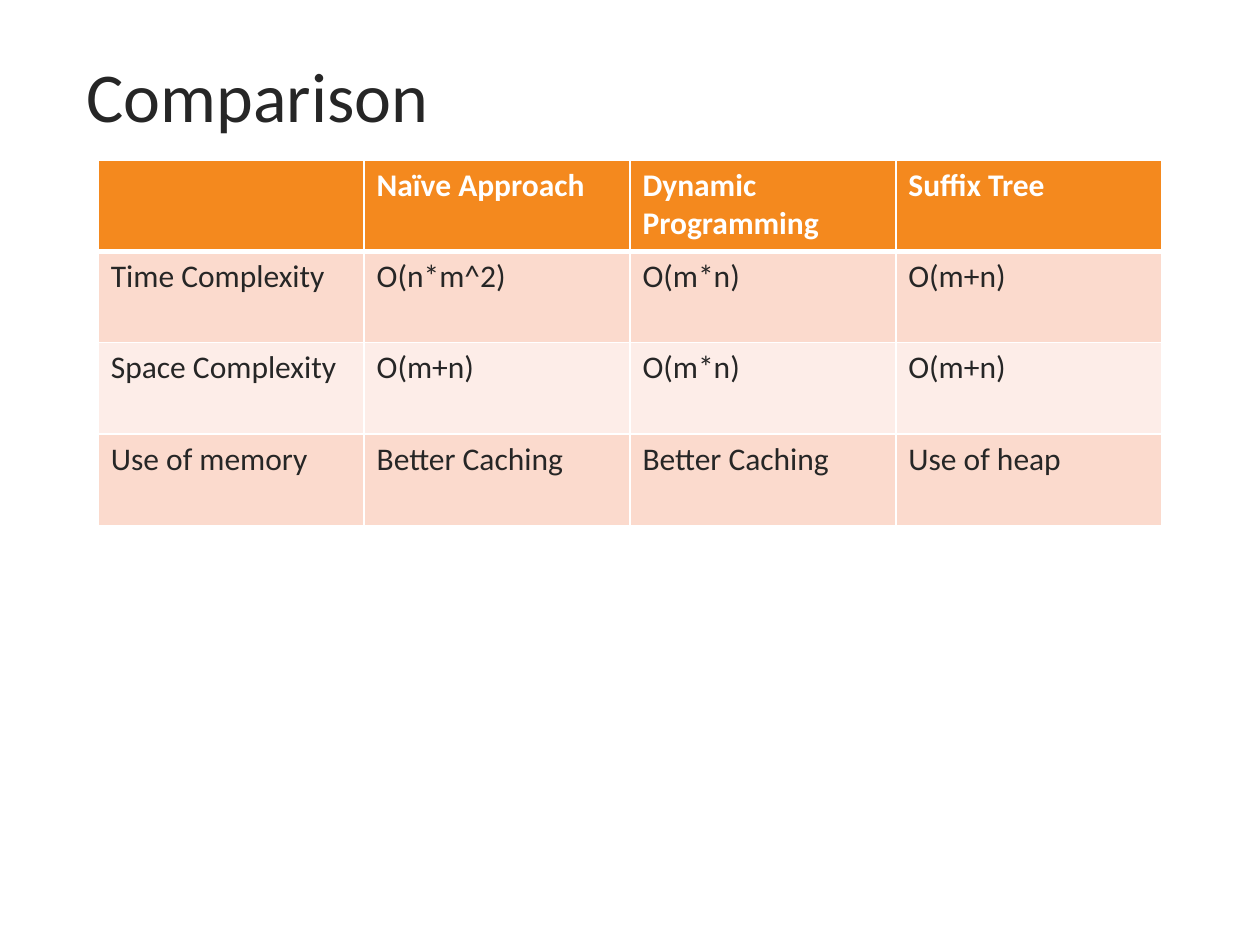
from lxml import etree
from pptx import Presentation
from pptx.dml.color import RGBColor
from pptx.enum.text import MSO_AUTO_SIZE
from pptx.oxml.ns import qn
from pptx.util import Inches, Pt

FIT_SHAPE = MSO_AUTO_SIZE.SHAPE_TO_FIT_TEXT
COLORS = {"white": "FFFFFF", "ink": "262626", "header": "F4891E",
          "odd": "FBDACD", "even": "FDEDE8"}
ROWS = [
    ["", "Naïve Approach", "Dynamic Programming", "Suffix Tree"],
    ["Time Complexity", "O(n*m^2)", "O(m*n)", "O(m+n)"],
    ["Space Complexity", "O(m+n)", "O(m*n)", "O(m+n)"],
    ["Use of memory", "Better Caching", "Better Caching", "Use of heap"],
]


def write_text(frame, text, color, **formats):
    span = frame.paragraphs[0].add_run()
    span.text = text
    span.font.name = "Calibri"
    span.font.color.rgb = RGBColor.from_string(COLORS[color])
    for name, value in formats.items():
        setattr(span.font, name, value)


def add_border(cell, side, width):
    line = etree.SubElement(cell._tc.get_or_add_tcPr(), qn(f"a:ln{side}"), w=str(Pt(width)))
    fill = etree.SubElement(line, qn("a:solidFill"))
    etree.SubElement(fill, qn("a:srgbClr"), val=COLORS["white"])


deck = Presentation()
deck.slide_width, deck.slide_height = Inches(10), Inches(7.5)
page = deck.slides.add_slide(deck.slide_layouts[6])

title = page.shapes.add_textbox(Inches(0.59), Inches(0.37), Inches(3.07), Inches(0.77))
title.text_frame.word_wrap = False
title.text_frame.auto_size = FIT_SHAPE
write_text(title.text_frame, "Comparison", "ink", size=Pt(40))

table = page.shapes.add_table(len(ROWS), len(ROWS[0]), Inches(0.78), Inches(1.27),
                              Inches(8.44), Inches(2.9)).table
for row_index, texts in enumerate(ROWS):
    is_header = row_index == 0
    band = "header" if is_header else "odd" if row_index % 2 else "even"
    widths = {"L": 1, "R": 1, "T": 3 if row_index == 1 else 1, "B": 3 if is_header else 1}
    for column_index, text in enumerate(texts):
        cell = table.cell(row_index, column_index)
        for side, width in widths.items():
            add_border(cell, side, width)
        cell.fill.solid()
        cell.fill.fore_color.rgb = RGBColor.from_string(COLORS[band])
        if text:
            write_text(cell.text_frame, text, "white" if is_header else "ink",
                       size=Pt(18), bold=is_header)

deck.save("out.pptx")
